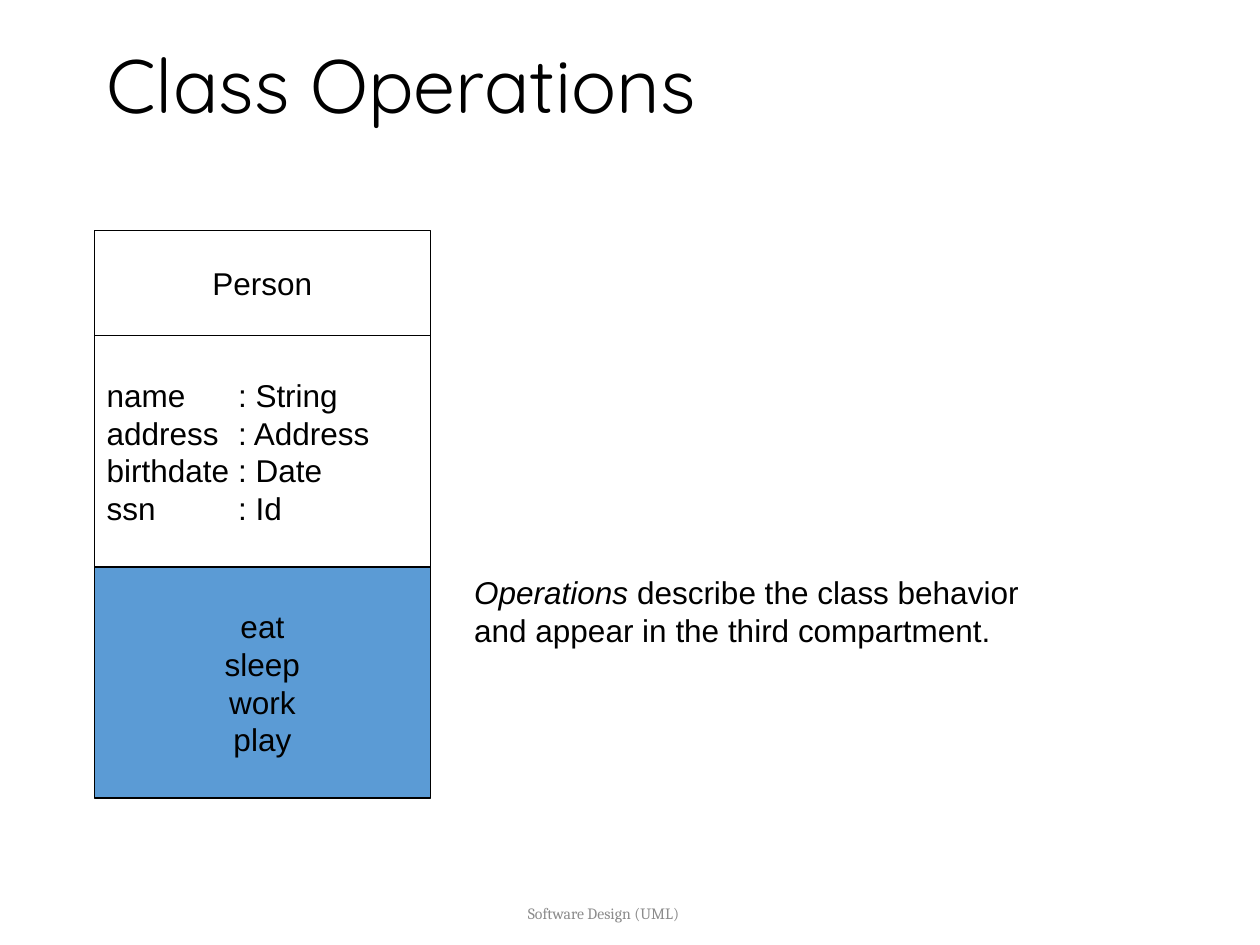
import pptx
import pptx.util
import pptx.dml.color
import pptx.enum.shapes
import pptx.enum.text
import lxml.etree
from pptx.util import Cm, Pt

ALIGN = pptx.enum.text.PP_ALIGN
ANCHOR = pptx.enum.text.MSO_ANCHOR
BLACK, WHITE, BLUE, GRAY = "000000", "FFFFFF", "5B9BD5", "8C8C8C"

TITLE = "Class Operations"
FOOTER = "Software Design (UML)"
ATTRIBUTES = [("name", "String"), ("address", "Address"), ("birthdate", "Date"), ("ssn", "Id")]
COMPARTMENTS = [
    {"lines": ["Person"], "height": 2.12, "fill": WHITE, "align": ALIGN.CENTER},
    {"lines": [f"{name}\t: {kind}" for name, kind in ATTRIBUTES],
     "height": 4.66, "fill": WHITE, "align": ALIGN.LEFT, "tab": 2.65},
    {"lines": ["eat", "sleep", "work", "play"],
     "height": 4.66, "fill": BLUE, "align": ALIGN.CENTER},
]
EXPLANATION = [
    [("Operations ", True), ("describe the class behavior", False)],
    "and appear in the third compartment.",
]
CLASS_LEFT, CLASS_TOP, CLASS_WIDTH = 1.9, 4.65, 6.78


def rgb(value):
    return pptx.dml.color.RGBColor.from_string(value)


def add_tab_stop(paragraph, position):
    properties = paragraph._p.get_or_add_pPr()
    namespace = "{http://schemas.openxmlformats.org/drawingml/2006/main}"
    stops = lxml.etree.SubElement(properties, namespace + "tabLst")
    lxml.etree.SubElement(stops, namespace + "tab", pos=str(Cm(position)), algn="l")


def write(holder, lines, size=18, font="Arial", color=BLACK, align=ALIGN.LEFT,
          anchor=ANCHOR.MIDDLE, spacing=None, tab=None):
    frame = holder.text_frame
    frame.word_wrap = True
    frame.vertical_anchor = anchor
    for index, line in enumerate(lines):
        paragraph = frame.add_paragraph() if index else frame.paragraphs[0]
        if tab:
            add_tab_stop(paragraph, tab)
        paragraph.alignment = align
        if spacing:
            paragraph.line_spacing = spacing
        for text, italic in [(line, False)] if isinstance(line, str) else line:
            run = paragraph.add_run()
            run.text = text
            run.font.size = Pt(size)
            run.font.name = font
            run.font.italic = italic
            run.font.color.rgb = rgb(color)


def add_compartment(group, top, lines, height, fill, **text_format):
    box = group.shapes.add_shape(pptx.enum.shapes.MSO_SHAPE.RECTANGLE, Cm(CLASS_LEFT),
                                 Cm(top), Cm(CLASS_WIDTH), Cm(height))
    box.shadow.inherit = False
    box.fill.solid()
    box.fill.fore_color.rgb = rgb(fill)
    box.line.color.rgb = rgb(BLACK)
    box.line.width = Pt(0.75)
    write(box, lines, **text_format)


def main():
    deck = pptx.Presentation()
    deck.slide_width, deck.slide_height = Cm(25.4), Cm(19.05)
    shapes = deck.slides.add_slide(deck.slide_layouts[6]).shapes

    footer = shapes.add_textbox(Cm(6.55), Cm(17.78), Cm(11.23), Cm(1.27))
    write(footer, [FOOTER], size=9, font="Cambria", color=GRAY, align=ALIGN.CENTER)
    title = shapes.add_textbox(Cm(1.9), Cm(1.06), Cm(21.8), Cm(1.48))
    write(title, [TITLE], size=43.2, font="Quicksand", spacing=0.9)

    person_class = shapes.add_group_shape()
    top = CLASS_TOP
    for compartment in COMPARTMENTS:
        add_compartment(person_class, top, **compartment)
        top += compartment["height"]

    explanation = shapes.add_textbox(Cm(9.31), Cm(11.43), Cm(13.84), Cm(2.29))
    write(explanation, EXPLANATION, anchor=ANCHOR.TOP)
    deck.save("out.pptx")


if __name__ == "__main__":
    main()
